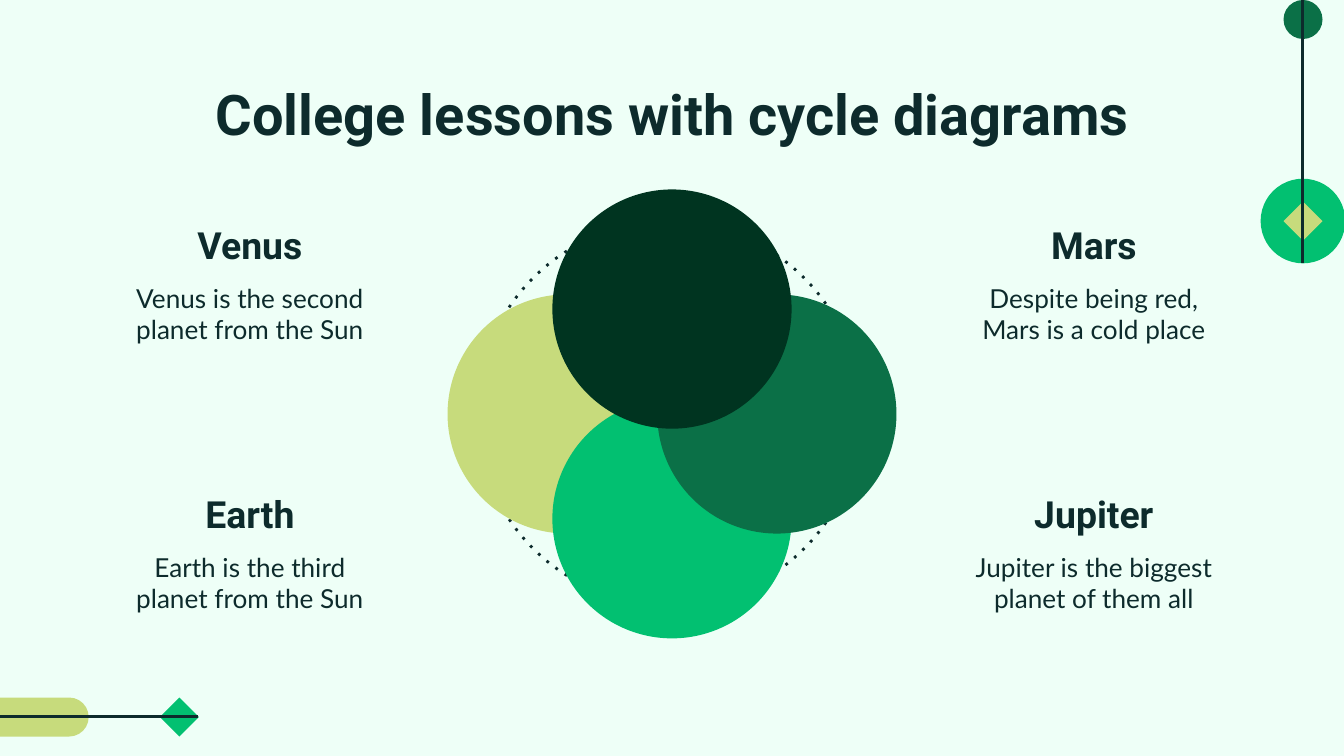
"""Build a slide with a four-circle cycle diagram of planets."""
from dataclasses import dataclass

from lxml.etree import SubElement
from pptx import Presentation
from pptx.dml.color import RGBColor
from pptx.enum.shapes import MSO_CONNECTOR, MSO_SHAPE as Preset
from pptx.enum.text import MSO_ANCHOR as Anchor, PP_ALIGN as Align
from pptx.oxml.ns import qn
from pptx.shapes.autoshape import Shape
from pptx.slide import Slide
from pptx.util import Inches, Pt


@dataclass(frozen=True)
class Theme:
    background: str = "EEFFF7"
    ink: str = "0D2B2C"
    lime: str = "C7DB7C"
    green: str = "02C071"
    forest: str = "0B7047"
    night: str = "003420"
    heading_font: str = "Roboto"
    body_font: str = "Lato"
    title_size: float = 30
    heading_size: float = 20
    body_size: float = 14
    line_width: float = 1.5


@dataclass(frozen=True)
class Box:
    left: float
    top: float
    width: float
    height: float

    def lengths(self) -> tuple[Inches, ...]:
        return tuple(Inches(v) for v in (self.left, self.top, self.width, self.height))


@dataclass(frozen=True)
class Planet:
    name: str
    fact: str
    left: float
    top: float


@dataclass(frozen=True)
class Circle:
    column: int
    row: int
    color: str


THEME = Theme()
SLIDE_WIDTH = 10
SLIDE_HEIGHT = SLIDE_WIDTH * 9 / 16
LEFT_COLUMN, RIGHT_COLUMN = 0.78, 7.06
TOP_ROW, BOTTOM_ROW = 1.48, 3.48
PLANETS = (
    Planet("Venus", "Venus is the second planet from the Sun", LEFT_COLUMN, TOP_ROW),
    Planet("Mars", "Despite being red, Mars is a cold place", RIGHT_COLUMN, TOP_ROW),
    Planet("Earth", "Earth is the third planet from the Sun", LEFT_COLUMN, BOTTOM_ROW),
    Planet("Jupiter", "Jupiter is the biggest planet of them all", RIGHT_COLUMN, BOTTOM_ROW),
)
CIRCLES = (
    Circle(-1, 0, THEME.lime),
    Circle(0, 1, THEME.green),
    Circle(1, 0, THEME.forest),
    Circle(0, -1, THEME.night),
)
CENTER_X, CENTER_Y = 5, 3.08
CIRCLE_SIZE, CIRCLE_OFFSET = 1.78, 0.78


def rgb(color: str) -> RGBColor:
    return RGBColor.from_string(color)


def add_filled(slide: Slide, preset: Preset, box: Box, color: str) -> Shape:
    shape = slide.shapes.add_shape(preset, *box.lengths())
    shape.shadow.inherit = False
    shape.fill.solid()
    shape.fill.fore_color.rgb = rgb(color)
    shape.line.fill.background()
    return shape


def add_line(slide: Slide, start: tuple[float, float], end: tuple[float, float]) -> None:
    points = [Inches(value) for value in (*start, *end)]
    connector = slide.shapes.add_connector(MSO_CONNECTOR.STRAIGHT, *points)
    connector.line.color.rgb = rgb(THEME.ink)
    connector.line.width = Pt(THEME.line_width)
    SubElement(connector.element.spPr, qn("a:effectLst"))


def add_text(slide: Slide, box: Box, text: str, font: str, size: float,
             bold: bool = False, anchor: Anchor = Anchor.TOP) -> None:
    frame = slide.shapes.add_textbox(*box.lengths()).text_frame
    frame.word_wrap = True
    frame.vertical_anchor = anchor
    frame.margin_left = frame.margin_right = Inches(0.1)
    frame.margin_top = frame.margin_bottom = Inches(0.1)
    paragraph = frame.paragraphs[0]
    paragraph.text = text
    paragraph.alignment = Align.CENTER
    paragraph.font.name = font
    paragraph.font.size = Pt(size)
    paragraph.font.bold = bold
    paragraph.font.color.rgb = rgb(THEME.ink)


def add_decorations(slide: Slide) -> None:
    add_filled(slide, Preset.OVAL, Box(9.38, 1.33, 0.63, 0.63), THEME.green)
    add_filled(slide, Preset.DIAMOND, Box(9.55, 1.5, 0.29, 0.29), THEME.lime)
    add_filled(slide, Preset.OVAL, Box(9.55, 0, 0.29, 0.29), THEME.forest)
    add_line(slide, (9.69, 1.96), (9.69, 0))
    bar = add_filled(slide, Preset.ROUNDED_RECTANGLE, Box(-0.69, 5.19, 1.35, 0.29), THEME.lime)
    bar.adjustments[0] = 0.5
    add_filled(slide, Preset.DIAMOND, Box(1.19, 5.19, 0.29, 0.29), THEME.green)
    add_line(slide, (-0.48, 5.33), (1.47, 5.33))


def add_planet(slide: Slide, planet: Planet) -> None:
    add_text(slide, Box(planet.left, planet.top + 0.52, 2.16, 0.67), planet.fact,
             THEME.body_font, THEME.body_size)
    add_text(slide, Box(planet.left, planet.top, 2.16, 0.61), planet.name,
             THEME.heading_font, THEME.heading_size, True, Anchor.BOTTOM)


def add_ring(slide: Slide, box: Box) -> None:
    ring = slide.shapes.add_shape(Preset.OVAL, *box.lengths())
    ring.shadow.inherit = False
    ring.fill.background()
    ring.line.color.rgb = rgb(THEME.ink)
    ring.line.width = Pt(THEME.line_width)
    outline = ring.element.spPr.find(qn("a:ln"))
    SubElement(outline, qn("a:prstDash")).set("val", "dot")


def add_cycle(slide: Slide) -> None:
    add_ring(slide, Box(3.55, 1.65, 2.85, 2.85))
    for circle in CIRCLES:
        left = CENTER_X + circle.column * CIRCLE_OFFSET - CIRCLE_SIZE / 2
        top = CENTER_Y + circle.row * CIRCLE_OFFSET - CIRCLE_SIZE / 2
        add_filled(slide, Preset.OVAL, Box(left, top, CIRCLE_SIZE, CIRCLE_SIZE), circle.color)


def main() -> None:
    presentation = Presentation()
    presentation.slide_width = Inches(SLIDE_WIDTH)
    presentation.slide_height = Inches(SLIDE_HEIGHT)
    slide = presentation.slides.add_slide(presentation.slide_layouts[6])
    slide.background.fill.solid()
    slide.background.fill.fore_color.rgb = rgb(THEME.background)
    add_decorations(slide)
    add_text(slide, Box(0.79, 0.49, 8.43, 0.63), "College lessons with cycle diagrams",
             THEME.heading_font, THEME.title_size, True)
    for planet in PLANETS:
        add_planet(slide, planet)
    add_cycle(slide)
    presentation.save("out.pptx")


if __name__ == "__main__":
    main()
